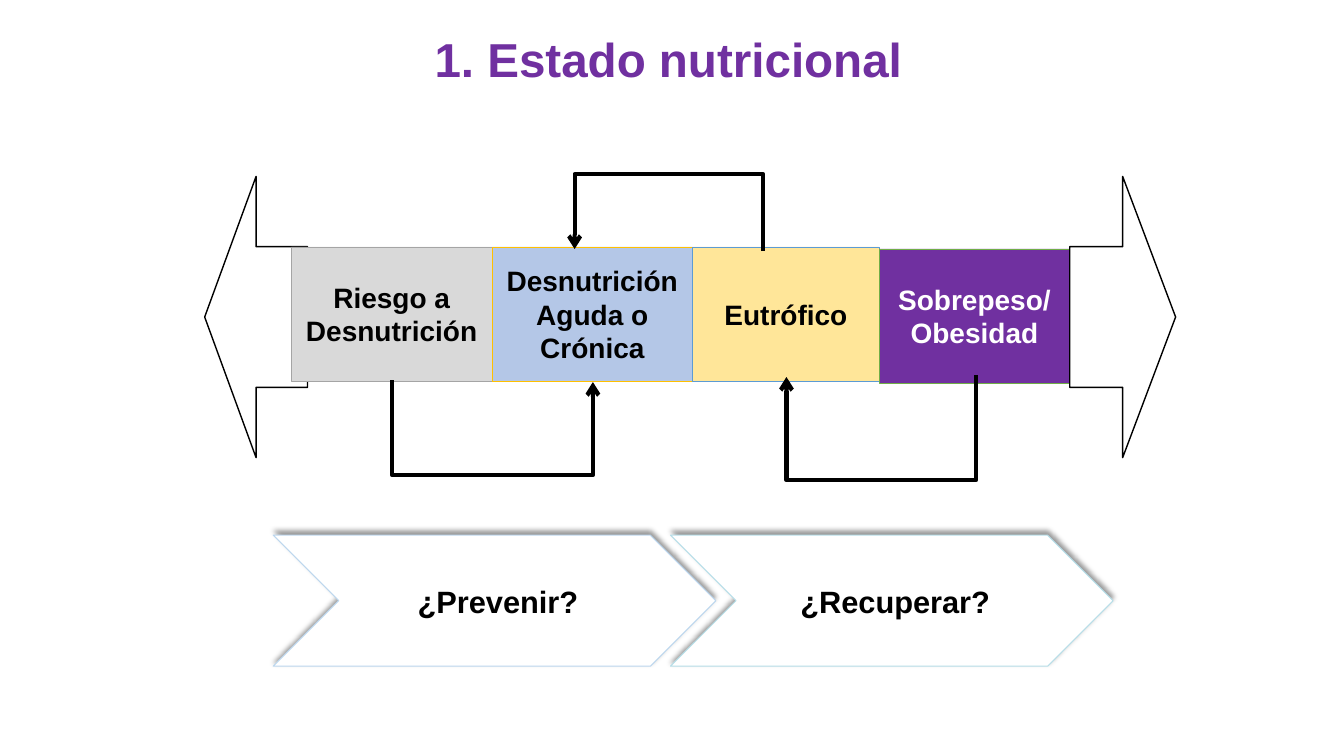
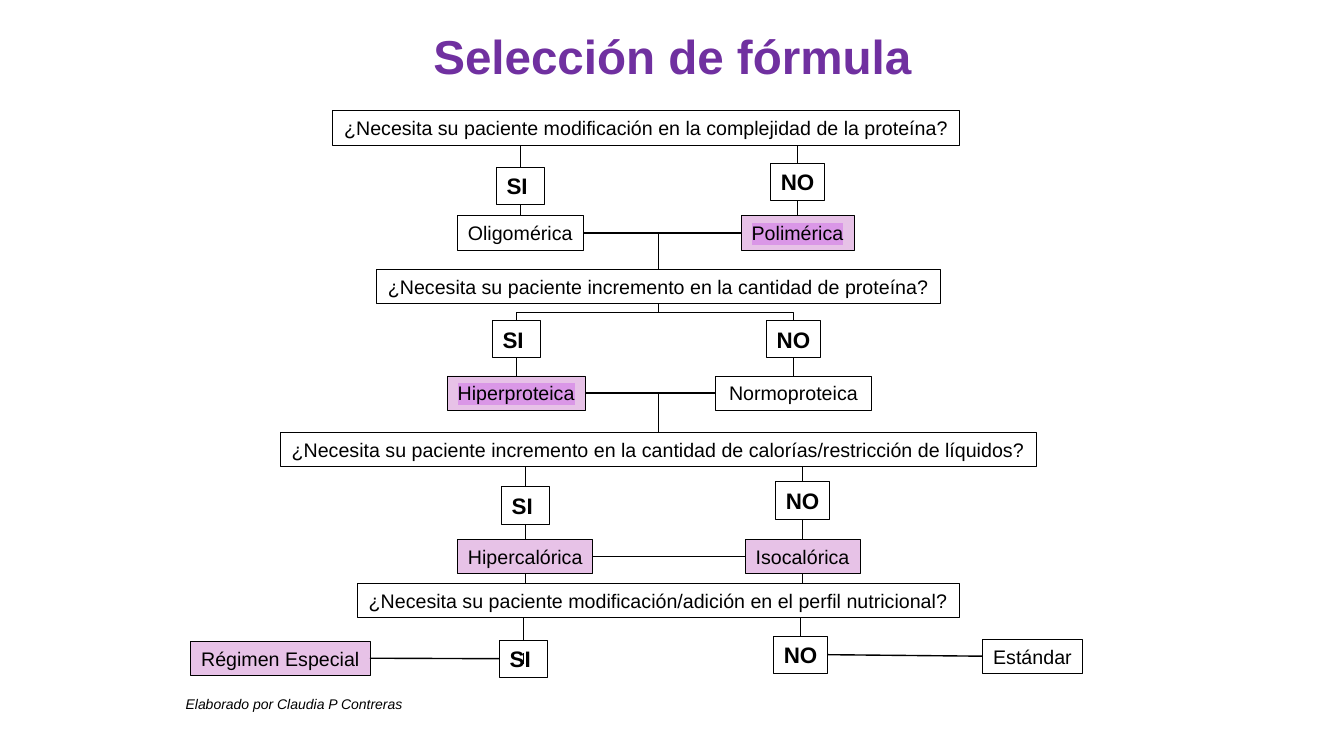
from dataclasses import dataclass

from lxml.etree import SubElement
from pptx import Presentation
from pptx.dml.color import RGBColor
from pptx.enum.shapes import MSO_CONNECTOR, MSO_SHAPE
from pptx.enum.text import MSO_ANCHOR, PP_ALIGN
from pptx.oxml.ns import qn
from pptx.util import Inches, Pt


@dataclass(frozen=True)
class Theme:
    font: str = "Arial"
    purple: str = "7030A0"
    black: str = "000000"
    white: str = "FFFFFF"
    gray: str = "D9D9D9"
    blue: str = "B4C7E7"
    yellow: str = "FFE699"
    lilac: str = "E7C2E7"
    highlight: str = "DA97E7"
    title_size: int = 34
    chevron_size: int = 22
    state_size: int = 20
    answer_size: int = 16
    label_size: int = 14
    credit_size: int = 10
    hairline: float = 0.5
    thin: float = 1
    thick: float = 3


THEME = Theme()
TOP, LEFT, BOTTOM, RIGHT = range(4)


@dataclass(frozen=True)
class Stage:
    top: float
    question: str
    question_center: float
    question_width: float
    yes_center: float
    yes_drop: float
    no_drop: float
    option_drop: float = 0
    options: tuple = ()
    forked: bool = False


STAGES = [
    Stage(0, "¿Necesita su paciente modificación en la complejidad de la proteína?",
          3.63, 6.22, 2.38, 0.56, 0.52, 1.04,
          (("Oligomérica", 1.25, THEME.white, False), ("Polimérica", 1.12, THEME.lilac, True))),
    Stage(1.57, "¿Necesita su paciente incremento en la cantidad de proteína?",
          3.75, 5.59, 2.34, 0.51, 0.51, 1.06,
          (("Hiperproteica", 1.37, THEME.lilac, True), ("Normoproteica", 1.54, THEME.white, False)),
          True),
    Stage(3.19, "¿Necesita su paciente incremento en la cantidad de calorías/restricción de líquidos?",
          3.75, 7.5, 2.43, 0.54, 0.49, 1.06,
          (("Hipercalórica", 1.34, THEME.lilac, False), ("Isocalórica", 1.14, THEME.lilac, False))),
    Stage(4.69, "¿Necesita su paciente modificación/adición en el perfil nutricional?",
          3.75, 5.97, 2.41, 0.56, 0.52),
]
BRANCH_GAP = 2.75
LABEL_HEIGHT = 0.34
ANSWER_HEIGHT = 0.37


def color(value):
    return RGBColor.from_string(value)


def write(shape, lines, size, font_color=THEME.black, bold=False, italic=False):
    for index, line in enumerate(lines):
        frame = shape.text_frame
        paragraph = frame.paragraphs[0] if index == 0 else frame.add_paragraph()
        paragraph.add_run().text = line
        paragraph.alignment = PP_ALIGN.CENTER
        paragraph.font.name = THEME.font
        paragraph.font.size = Pt(size)
        paragraph.font.bold = bold
        paragraph.font.italic = italic
        paragraph.font.color.rgb = color(font_color)


def add_text(slide, box, text, size, **style):
    shape = slide.shapes.add_textbox(*map(Inches, box))
    shape.text_frame.word_wrap = True
    write(shape, [text], size, **style)
    return shape


def add_title(slide, left, top, text):
    shape = add_text(slide, (left, top, 10, 0.99), text, THEME.title_size,
                     font_color=THEME.purple, bold=True)
    shape.text_frame.paragraphs[0].line_spacing = 0.9


def add_block(slide, kind, box, fill, line, weight):
    shape = slide.shapes.add_shape(kind, *map(Inches, box))
    shape.shadow.inherit = False
    shape.fill.solid()
    shape.fill.fore_color.rgb = color(fill)
    shape.line.color.rgb = color(line)
    shape.line.width = Pt(weight)
    shape.text_frame.vertical_anchor = MSO_ANCHOR.MIDDLE
    return shape


def style_line(connector, weight):
    connector.line.color.rgb = color(THEME.black)
    connector.line.width = Pt(weight)
    SubElement(connector._element.spPr, qn("a:effectLst"))
    return connector


def add_line(slide, start, end, weight):
    points = map(Inches, (*start, *end))
    return style_line(slide.shapes.add_connector(MSO_CONNECTOR.STRAIGHT, *points), weight)


def join(slide, first, first_side, second, second_side, weight):
    connector = add_line(slide, (0, 0), (1, 1), weight)
    connector.begin_connect(first, first_side)
    connector.end_connect(second, second_side)


def add_elbow(slide, start, end, bend, weight, arrow=False):
    across, rise = end[0] - start[0], end[1] - start[1]
    width, height = abs(rise), abs(across)
    left = (start[0] + end[0] - width) / 2
    top = (start[1] + end[1] - height) / 2
    connector = slide.shapes.add_connector(
        MSO_CONNECTOR.ELBOW, *map(Inches, (left, top, left + width, top + height)))
    style_line(connector, weight)
    properties = connector._element.spPr
    leftward, downward = across < 0, rise > 0
    properties.xfrm.set("rot", str((90 if leftward else 270) * 60000))
    if leftward != downward:
        properties.xfrm.set("flipH", "1")
    adjustments = properties.find(".//" + qn("a:avLst"))
    SubElement(adjustments, qn("a:gd"), name="adj1", fmla=f"val {round(bend / width * 100000)}")
    if arrow:
        SubElement(properties.find(qn("a:ln")), qn("a:tailEnd"), type="arrow")


def add_spectrum(slide, left, top):
    def arrow(kind, offset, width):
        add_block(slide, kind, (left + offset, top, width, 2.79),
                  THEME.white, THEME.black, THEME.thin)

    states = [
        (["Riesgo a Desnutrición"], 1.99, 0.7, THEME.gray, "A5A5A5", THEME.black),
        (["Desnutrición", "Aguda o Crónica"], 1.99, 0.7, THEME.blue, "FFC000", THEME.black),
        (["Eutrófico"], 1.85, 0.7, THEME.yellow, "5B9BD5", THEME.black),
        (["Sobrepeso/Obesidad"], 1.89, 0.72, THEME.purple, "70AD47", THEME.white),
    ]
    arrow(MSO_SHAPE.LEFT_ARROW, 0, 1.02)
    state_left = left + 0.86
    for lines, width, drop, fill, line, font_color in states:
        shape = add_block(slide, MSO_SHAPE.RECTANGLE, (state_left, top + drop, width, 1.33),
                          fill, line, THEME.hairline)
        shape.text_frame.word_wrap = True
        write(shape, lines, THEME.state_size, font_color, bold=True)
        state_left += width
    arrow(MSO_SHAPE.RIGHT_ARROW, 8.58, 1.05)

    loops = [
        ((7.65, 1.97), (5.77, 1.99), 1.04),
        ((5.54, 0.74), (3.67, 0.72), 0.76),
        ((1.86, 2.02), (3.85, 2.04), 0.94),
    ]
    for start, end, bend in loops:
        add_elbow(slide, (left + start[0], top + start[1]), (left + end[0], top + end[1]),
                  bend, THEME.thick, arrow=True)


def add_shadow(shape):
    effects = shape._element.spPr.find(qn("a:effectLst"))
    shadow = SubElement(effects, qn("a:outerShdw"), blurRad=str(Pt(4)), dist=str(Pt(3)),
                        dir=str(270 * 60000), rotWithShape="0")
    shadow_color = SubElement(shadow, qn("a:srgbClr"), val=THEME.black)
    SubElement(shadow_color, qn("a:alpha"), val="40000")


def add_chevrons(slide, left, top):
    for index, (text, line) in enumerate([("¿Prevenir?", "BDD7EE"), ("¿Recuperar?", "B7DEE8")]):
        shape = add_block(slide, MSO_SHAPE.CHEVRON, (left + index * 3.94, top, 4.39, 1.3),
                          THEME.white, line, 0.75)
        add_shadow(shape)
        shape.text_frame.word_wrap = True
        shape.text_frame.margin_right = Inches(0.03)
        write(shape, [text], THEME.chevron_size, bold=True)


def add_label(slide, center, top, width, text, fill=THEME.white, marked=False, answer=False):
    height = ANSWER_HEIGHT if answer else LABEL_HEIGHT
    shape = add_block(slide, MSO_SHAPE.RECTANGLE, (center - width / 2, top, width, height),
                      fill, THEME.black, THEME.hairline)
    shape.text_frame.word_wrap = False
    write(shape, [text], THEME.answer_size if answer else THEME.label_size, bold=answer)
    if marked:
        run_properties = shape.text_frame.paragraphs[0].runs[0]._r.get_or_add_rPr()
        highlight = SubElement(run_properties, qn("a:highlight"))
        SubElement(highlight, qn("a:srgbClr"), val=THEME.highlight)
    return shape


def add_stage(slide, left, top, stage):
    center = left + stage.question_center
    bottom = top + LABEL_HEIGHT
    question = add_label(slide, center, top, stage.question_width, stage.question)
    branches = [left + stage.yes_center, left + stage.yes_center + BRANCH_GAP]
    answers, options = [], []
    for branch, text, width, drop in zip(
            branches, ("SI ", "NO"), (0.48, 0.54), (stage.yes_drop, stage.no_drop)):
        answer = add_label(slide, branch, top + drop, width, text, answer=True)
        answers.append(answer)
        if stage.forked:
            add_elbow(slide, (center, bottom), (branch, top + drop), 0.09, THEME.thin)
        else:
            add_line(slide, (branch, bottom), (branch, top + drop),
                     THEME.hairline).end_connect(answer, TOP)
    for branch, answer, (text, width, fill, marked) in zip(branches, answers, stage.options):
        option = add_label(slide, branch, top + stage.option_drop, width, text, fill, marked)
        options.append(option)
        join(slide, answer, BOTTOM, option, TOP,
             THEME.hairline if stage.forked else THEME.thin)
    if options:
        join(slide, options[0], RIGHT, options[1], LEFT, THEME.thin)
    return question, answers, options


def add_decision_tree(slide, left, top):
    parts = [add_stage(slide, left, top + stage.top, stage) for stage in STAGES]
    for stage, following, (question, _, _) in zip(STAGES, STAGES[1:3], parts[1:3]):
        trunk = left + following.question_center
        start = top + stage.top + stage.option_drop + LABEL_HEIGHT / 2
        add_line(slide, (trunk, start), (trunk, top + following.top),
                 THEME.thin).end_connect(question, TOP)

    calories, profile = STAGES[2:]
    for index, option in enumerate(parts[2][2]):
        branch = left + calories.yes_center + index * BRANCH_GAP
        add_line(slide, (branch, top + 4.59), (branch, top + profile.top),
                 THEME.thin).begin_connect(option, BOTTOM)

    yes, no = parts[3][1]
    special = add_label(slide, left, top + 5.26, 1.78, "Régimen Especial", THEME.lilac)
    standard = add_label(slide, left + 7.46, top + 5.24, 0.99, "Estándar")
    join(slide, yes, LEFT, special, RIGHT, THEME.thin)
    join(slide, no, RIGHT, standard, LEFT, THEME.thin)
    mark = left + profile.yes_center
    add_line(slide, (mark, top + 5.38), (mark, top + 5.49), THEME.hairline)


def build_status_slide(presentation):
    slide = presentation.slides.add_slide(presentation.slide_layouts[6])
    add_title(slide, 1.63, 0.31, "1. Estado nutricional")
    add_spectrum(slide, 2.03, 1.75)
    add_chevrons(slide, 2.71, 5.31)


def build_formula_slide(presentation):
    slide = presentation.slides.add_slide(presentation.slide_layouts[6])
    add_title(slide, 1.67, 0.28, "Selección de fórmula")
    add_decision_tree(slide, 2.78, 1.1)
    add_text(slide, (0.71, 6.85, 4.41, 0.27), "Elaborado por Claudia P Contreras",
             THEME.credit_size, italic=True)


def main():
    presentation = Presentation()
    presentation.slide_width = Inches(13.33)
    presentation.slide_height = Inches(7.5)
    build_status_slide(presentation)
    build_formula_slide(presentation)
    presentation.save("out.pptx")


if __name__ == "__main__":
    main()
